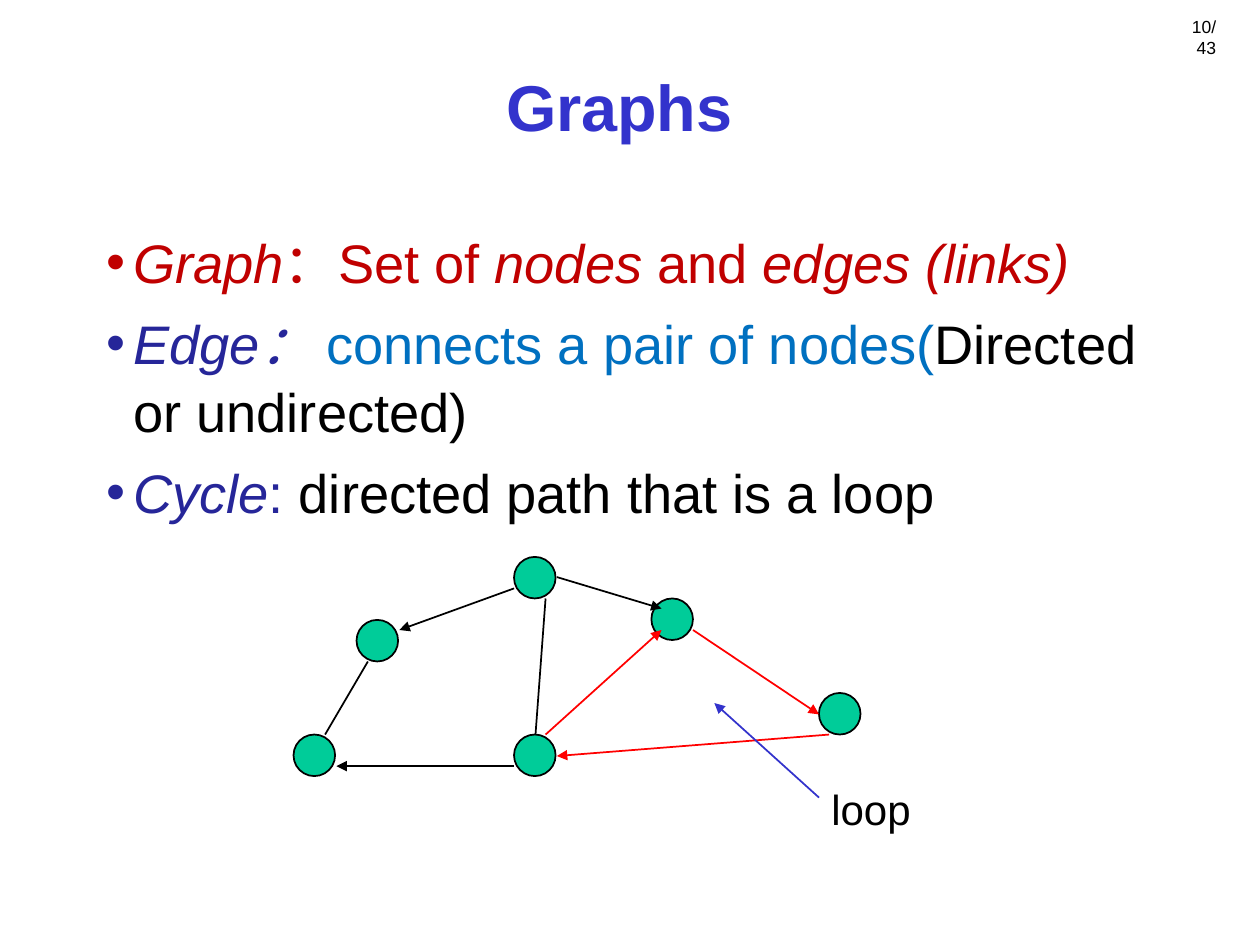
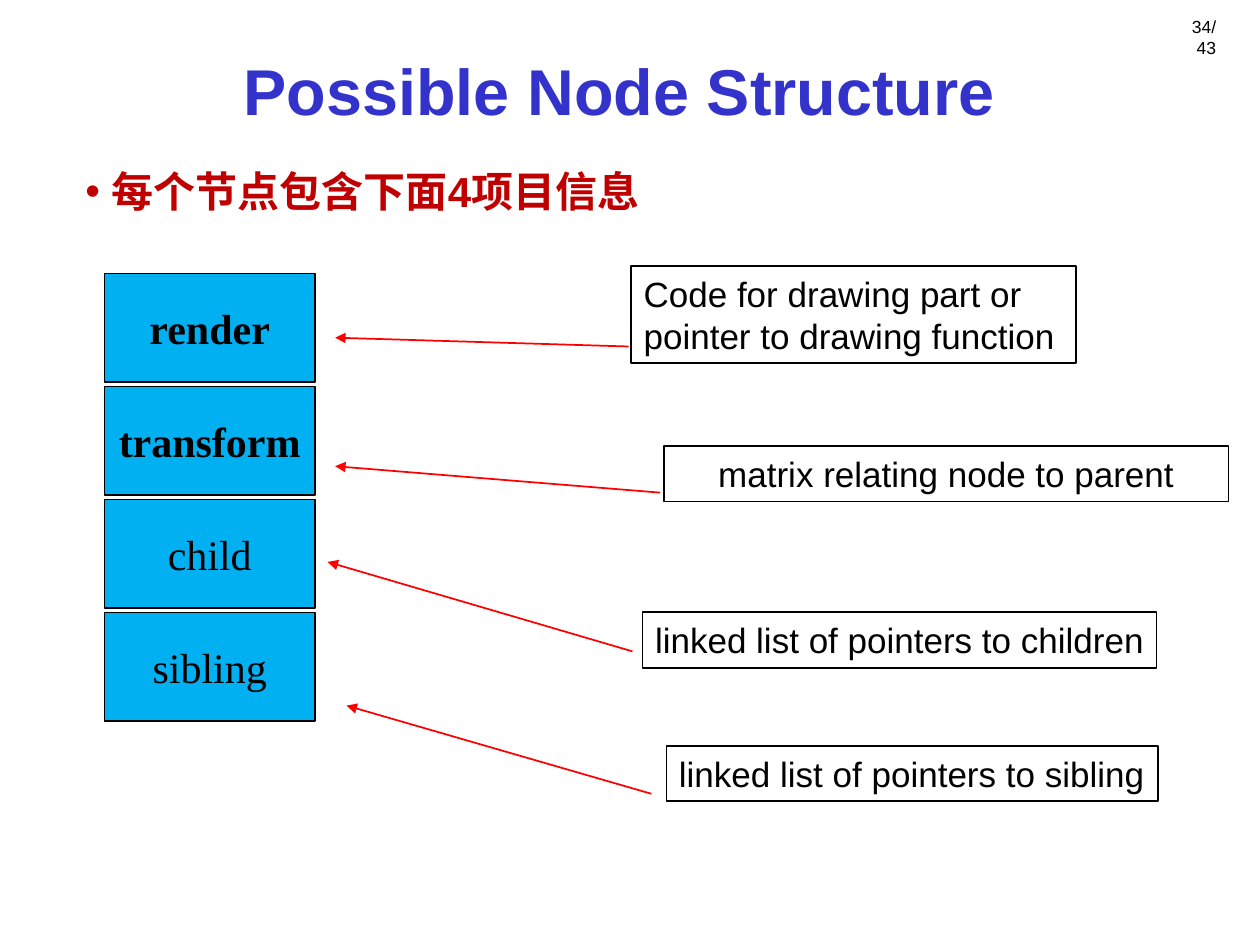
from lxml import etree
from pptx import Presentation
from pptx import util as u
from pptx.dml.color import RGBColor
from pptx.enum import shapes, text
from pptx.oxml.ns import qn

BLACK = RGBColor(0x00, 0x00, 0x00)
BLUE = RGBColor(0x33, 0x33, 0xCC)
NAVY = RGBColor(0x26, 0x26, 0x99)
SKY = RGBColor(0x00, 0x70, 0xC0)
CYAN = RGBColor(0x00, 0xB0, 0xF0)
CRIMSON = RGBColor(0xC0, 0x00, 0x00)
RED = RGBColor(0xFF, 0x00, 0x00)
GREEN = RGBColor(0x00, 0xCC, 0x99)
SANS, SERIF = "Arial", "Times New Roman"

PAGE_COUNT = 43
DEFINITIONS = [
    [("Graph", CRIMSON, True), ("：Set of ", CRIMSON, False), ("nodes", CRIMSON, True),
     (" and ", CRIMSON, False), ("edges (links)", CRIMSON, True)],
    [("Edge： ", NAVY, True), ("connects a pair of nodes(", SKY, False),
     ("Directed or undirected)", BLACK, False)],
    [("Cycle", NAVY, True), (": ", NAVY, False), ("directed path that is a loop", BLACK, False)],
]
NODE_SIZE = 0.33
NODES = [(4.08, 4.42), (2.83, 4.92), (4.08, 5.83), (5.17, 4.75), (2.33, 5.83), (6.5, 5.5)]
EDGES = [
    ((4.42, 4.58), (5.25, 4.83), BLACK, True),
    ((5.5, 5), (6.5, 5.67), RED, True),
    ((6.58, 5.83), (4.42, 6), RED, True),
    ((4.33, 5.83), (5.25, 5), RED, True),
    ((4.33, 4.75), (4.25, 5.83), BLACK, False),
    ((4.08, 4.67), (3.17, 5), BLACK, True),
    ((2.92, 5.25), (2.58, 5.83), BLACK, False),
    ((4.08, 6.08), (2.67, 6.08), BLACK, True),
    ((6.5, 6.33), (5.67, 5.58), BLUE, True),
]

NODE_SUMMARY = [[("每个节点包含下面4项目信息", CRIMSON, False)]]
FIELDS = [("render", True), ("transform", True), ("child", False), ("sibling", False)]
FIELD_TOP, FIELD_PITCH = 2.17, 0.897
NOTES = [
    ("Code for drawing part or\npointer to drawing function", (5.01, 2.11, 3.53, 0.77),
     False, (4.99, 2.75), (2.66, 2.68)),
    ("matrix relating node to parent", (5.27, 3.54, 4.48, 0.44),
     True, (5.24, 3.91), (2.66, 3.7)),
    ("linked list of pointers to children", (5.1, 4.86, 4.08, 0.44),
     False, (5.02, 5.17), (2.6, 4.46)),
    ("linked list of pointers to sibling", (5.29, 5.92, 3.9, 0.44),
     False, (5.17, 6.3), (2.75, 5.6)),
]


def inches(values):
    return [u.Inches(value) for value in values]


def style_run(run, size, color=BLACK, bold=False, italic=False, name=SANS):
    run.font.size = u.Pt(size)
    run.font.color.rgb = color
    run.font.bold = bold
    run.font.italic = italic
    run.font.name = name


def write(shape, content, size, align=text.PP_ALIGN.LEFT, anchor=text.MSO_ANCHOR.TOP,
          wrap=True, **style):
    frame = shape.text_frame
    frame.text = content
    frame.word_wrap = wrap
    frame.vertical_anchor = anchor
    for paragraph in frame.paragraphs:
        paragraph.alignment = align
        for run in paragraph.runs:
            style_run(run, size, **style)


def add_label(slide, box, content, size, **options):
    write(slide.shapes.add_textbox(*inches(box)), content, size, **options)


def add_outlined(slide, kind, box, fill=None):
    shape = slide.shapes.add_shape(kind, *inches(box))
    shape.shadow.inherit = False
    if fill is None:
        shape.fill.background()
    else:
        shape.fill.solid()
        shape.fill.fore_color.rgb = fill
    shape.line.color.rgb = BLACK
    shape.line.width = u.Pt(1)
    return shape


def add_line(slide, start, end, color, arrow=True):
    line = slide.shapes.add_connector(shapes.MSO_CONNECTOR.STRAIGHT, *inches(start + end))
    line.line.color.rgb = color
    line.line.width = u.Pt(1)
    if arrow:
        etree.SubElement(line.line._get_or_add_ln(), qn("a:tailEnd"), type="triangle")
    etree.SubElement(line._element.spPr, qn("a:effectLst"))


def add_bullet(paragraph, color):
    properties = paragraph._p.get_or_add_pPr()
    properties.set("marL", str(u.Inches(0.21)))
    properties.set("indent", str(-u.Inches(0.21)))
    bullet_color = etree.SubElement(properties, qn("a:buClr"))
    etree.SubElement(bullet_color, qn("a:srgbClr"), val=str(color))
    etree.SubElement(properties, qn("a:buFont"), typeface=SANS)
    etree.SubElement(properties, qn("a:buChar"), char="•")


def add_bullets(slide, box, items, size, bold=False):
    frame = slide.shapes.add_textbox(*inches(box)).text_frame
    frame.word_wrap = True
    for index, pieces in enumerate(items):
        paragraph = frame.add_paragraph() if index else frame.paragraphs[0]
        add_bullet(paragraph, pieces[0][1])
        paragraph.line_spacing = 1.04
        if index:
            paragraph.space_before = u.Pt(7.7)
        for content, color, italic in pieces:
            run = paragraph.add_run()
            run.text = content
            style_run(run, size, color, bold, italic)


def add_slide(presentation, title, title_height, page):
    slide = presentation.slides.add_slide(presentation.slide_layouts[6])
    add_label(slide, (1.5, 0.25, 6.83, title_height), title, 37, color=BLUE, bold=True,
              align=text.PP_ALIGN.CENTER, anchor=text.MSO_ANCHOR.MIDDLE)
    add_label(slide, (9.33, 0.08, 0.42, 0.42), f"{page}/{PAGE_COUNT}", 10, wrap=False,
              align=text.PP_ALIGN.RIGHT, anchor=text.MSO_ANCHOR.MIDDLE)
    return slide


def build_graphs(presentation):
    slide = add_slide(presentation, "Graphs", 1.17, 10)
    add_bullets(slide, (0.75, 1.75, 8.5, 2.5), DEFINITIONS, 31)
    for left, top in NODES:
        add_outlined(slide, shapes.MSO_SHAPE.OVAL, (left, top, NODE_SIZE, NODE_SIZE), GREEN)
    for edge in EDGES:
        add_line(slide, *edge)
    add_label(slide, (6.5, 6.17, 0.83, 0.5), "loop", 24, wrap=False)


def build_node_structure(presentation):
    slide = add_slide(presentation, "Possible Node Structure", 0.92, 34)
    add_bullets(slide, (0.58, 1.25, 8.5, 0.55), NODE_SUMMARY, 24, bold=True)
    for row, (field, bold) in enumerate(FIELDS):
        box = (0.83, FIELD_TOP + row * FIELD_PITCH, 1.67, 0.86)
        shape = add_outlined(slide, shapes.MSO_SHAPE.RECTANGLE, box, CYAN)
        write(shape, field, 24, bold=bold, name=SERIF,
              align=text.PP_ALIGN.CENTER, anchor=text.MSO_ANCHOR.MIDDLE)
    for note, box, centered, start, end in NOTES:
        shape = add_outlined(slide, shapes.MSO_SHAPE.RECTANGLE, box)
        align = text.PP_ALIGN.CENTER if centered else text.PP_ALIGN.LEFT
        write(shape, note, 20, align=align, wrap=centered)
        add_line(slide, start, end, RED)


def main():
    presentation = Presentation()
    presentation.slide_width = u.Inches(10)
    presentation.slide_height = u.Inches(7.5)
    build_graphs(presentation)
    build_node_structure(presentation)
    presentation.save("out.pptx")


if __name__ == "__main__":
    main()
